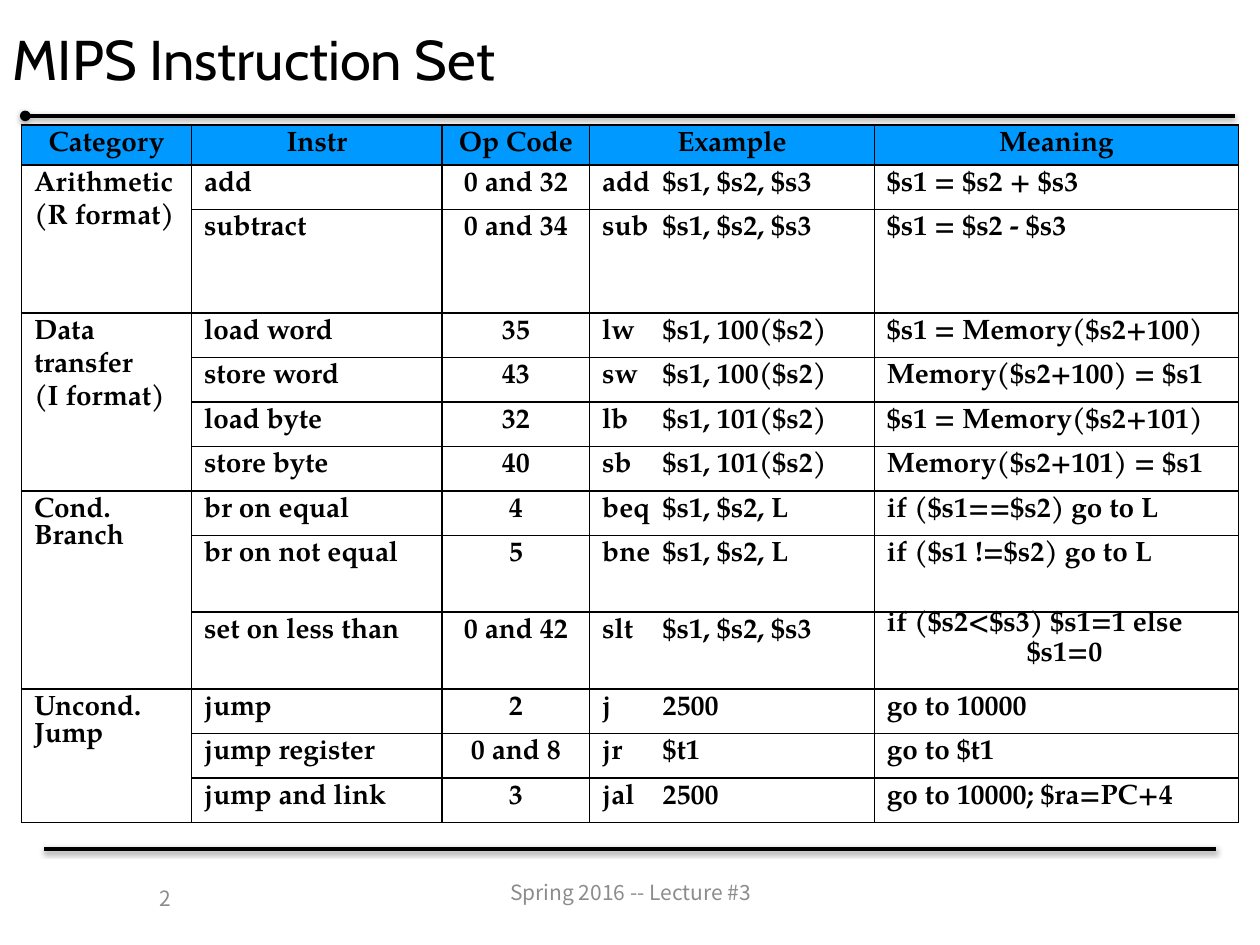
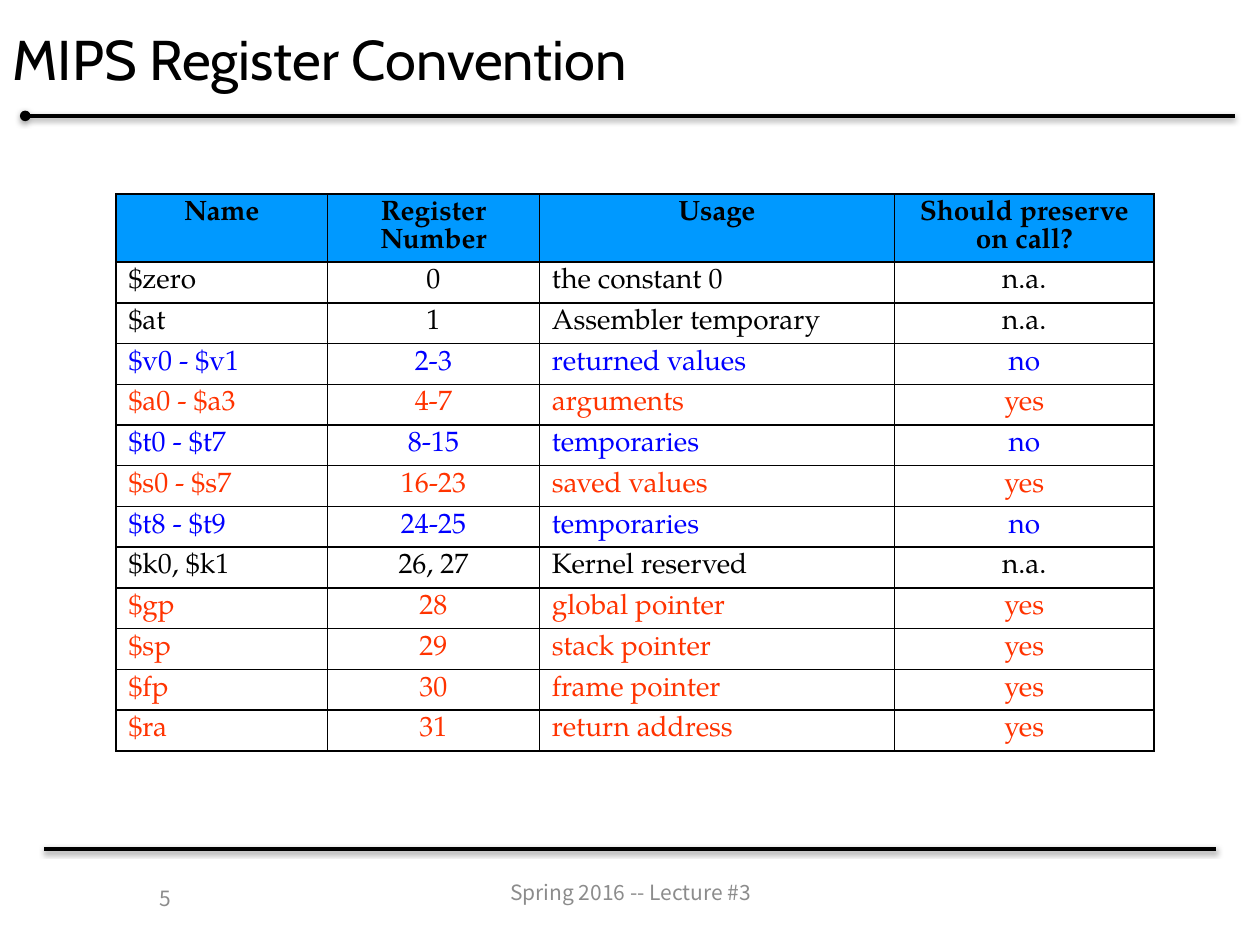
"""Build two lecture slides: the MIPS instruction set and the register convention."""
from dataclasses import dataclass

from lxml.etree import SubElement
from pptx import Presentation
from pptx.dml.color import RGBColor as Rgb
from pptx.enum.shapes import MSO_CONNECTOR as Link
from pptx.enum.text import MSO_ANCHOR as Anchor, MSO_AUTO_SIZE as AutoSize, PP_ALIGN as Align
from pptx.oxml.ns import qn
from pptx.util import Emu, Inches, Pt

SET_TITLE = "MIPS Instruction Set"
SET_HEADER = ("Category", "Instr", "Op Code", "Example", "Meaning")
SLT_MEANING = "if ($s2<$s3) $s1=1 else\n$s1=0"
INSTRUCTION_GROUPS = [
    ("Arithmetic\n(R format)", [
        ("add", "0 and 32", "add\t$s1, $s2, $s3", "$s1 = $s2 + $s3"),
        ("subtract", "0 and 34", "sub\t$s1, $s2, $s3", "$s1 = $s2 - $s3"),
    ]),
    ("Data\ntransfer\n(I format)", [
        ("load word", "35", "lw\t$s1, 100($s2)", "$s1 = Memory($s2+100)"),
        ("store word", "43", "sw\t$s1, 100($s2)", "Memory($s2+100) = $s1"),
        ("load byte", "32", "lb\t$s1, 101($s2)", "$s1 = Memory($s2+101)"),
        ("store byte", "40", "sb\t$s1, 101($s2)", "Memory($s2+101) = $s1"),
    ]),
    ("Cond. Branch", [
        ("br on equal", "4", "beq\t$s1, $s2, L", "if ($s1==$s2) go to L"),
        ("br on not equal", "5", "bne\t$s1, $s2, L", "if ($s1 !=$s2) go to L"),
        ("set on less than", "0 and 42", "slt\t$s1, $s2, $s3", SLT_MEANING),
    ]),
    ("Uncond. Jump", [
        ("jump", "2", "j\t2500", "go to 10000"),
        ("jump register", "0 and 8", "jr\t$t1", "go to $t1"),
        ("jump and link", "3", "jal\t2500", "go to 10000; $ra=PC+4"),
    ]),
]
TALL_INSTRUCTIONS = {"subtract": 0.82, "br on not equal": 0.61, "set on less than": 0.61}

REGISTER_TITLE = "MIPS Register Convention"
REGISTER_HEADER = ("Name", "Register Number", "Usage", "Should preserve on call?")
WRAPPED_HEADERS = {"Register Number", "Should preserve on call?"}
REGISTERS = [
    ("$zero", "0", "the constant 0", "n.a."),
    ("$at", "1", "Assembler temporary", "n.a."),
    ("$v0 - $v1", "2-3", "returned values", "no"),
    ("$a0 - $a3", "4-7", "arguments", "yes"),
    ("$t0 - $t7", "8-15", "temporaries", "no"),
    ("$s0 - $s7", "16-23", "saved values", "yes"),
    ("$t8 - $t9", "24-25", "temporaries", "no"),
    ("$k0, $k1", "26, 27", "Kernel reserved", "n.a."),
    ("$gp", "28", "global pointer", "yes"),
    ("$sp", "29", "stack pointer", "yes"),
    ("$fp", "30", "frame pointer", "yes"),
    ("$ra", "31", "return address", "yes"),
]
FOOTER = "Spring 2016 -- Lecture #3"


@dataclass(frozen=True)
class Theme:
    title_font: str = "Cabin"
    table_font: str = "TeX Gyre Pagella"
    footer_font: str = "Noto Sans CJK KR"
    title_size: int = 32
    table_size: int = 16
    footer_size: int = 12
    ink: str = "000000"
    header_fill: str = "0099FF"
    muted: str = "8C8C8C"
    scratch: str = "0000FF"
    preserved: str = "FF3300"


THEME = Theme()
PRESERVE_COLOURS = {"no": THEME.scratch, "yes": THEME.preserved}
SET_HEADER_ROW, SET_HEIGHT = 0.32, 5.54
REGISTER_HEADER_ROW, REGISTER_HEIGHT = 0.54, 4.42
OPERAND_TAB, ELSE_INDENT = 0.48, 1.11
TITLE_RULE, FOOTER_RULE = 0.92, 6.74


def style(paragraph, family, size, colour, bold=False, align=Align.LEFT):
    paragraph.alignment = align
    font = paragraph.font
    font.name, font.size, font.bold = family, Pt(size), bold
    font.color.rgb = Rgb.from_string(colour)


def add_rule(slide, start, end, y, oval=False):
    rule = slide.shapes.add_connector(
        Link.STRAIGHT, Inches(start), Inches(y), Inches(end), Inches(y))
    rule.line.width = Pt(2)
    rule.line.color.rgb = Rgb.from_string(THEME.ink)
    properties = rule.element.spPr
    if oval:
        SubElement(properties.find(qn("a:ln")), qn("a:headEnd"), type="oval")
    effects = SubElement(properties, qn("a:effectLst"))
    shadow = SubElement(effects, qn("a:outerShdw"), blurRad=str(Pt(3.1)), dist=str(Pt(1)),
                        dir="5400000", rotWithShape="0")
    colour = SubElement(shadow, qn("a:srgbClr"), val=THEME.ink)
    SubElement(colour, qn("a:alpha"), val="38000")


def add_footer_text(slide, text, box, align):
    frame = slide.shapes.add_textbox(*map(Inches, box)).text_frame
    frame.word_wrap = True
    frame.vertical_anchor = Anchor.MIDDLE
    frame.text = text
    style(frame.paragraphs[0], THEME.footer_font, THEME.footer_size, THEME.muted, align=align)


def add_lecture_slide(deck, title, number):
    slide = deck.slides.add_slide(deck.slide_layouts[5])
    add_rule(slide, 0.2, 9.8, TITLE_RULE, oval=True)
    add_rule(slide, 9.65, 0.35, FOOTER_RULE)
    heading = slide.shapes.title
    heading.left, heading.top = Emu(0), Emu(0)
    heading.width, heading.height = deck.slide_width, Inches(TITLE_RULE)
    frame = heading.text_frame
    frame.text = title
    frame.vertical_anchor = Anchor.MIDDLE
    frame.auto_size = AutoSize.NONE
    style(frame.paragraphs[0], THEME.title_font, THEME.title_size, THEME.ink)
    add_footer_text(slide, FOOTER, (2.67, 6.83, 4.67, 0.5), Align.CENTER)
    add_footer_text(slide, str(number), (0.98, 6.93, 0.48, 0.4), Align.RIGHT)
    return slide


def add_borders(cell):
    properties = cell._tc.get_or_add_tcPr()
    for side in ("lnL", "lnR", "lnT", "lnB"):
        edge = SubElement(properties, qn(f"a:{side}"), w=str(Pt(1)))
        fill = SubElement(edge, qn("a:solidFill"))
        SubElement(fill, qn("a:srgbClr"), val=THEME.ink)


def fill_cell(cell, text, colour, bold, align):
    cell.text = text
    if text in WRAPPED_HEADERS:
        cell.margin_top = Emu(0)
        cell.vertical_anchor = Anchor.MIDDLE
    for index, paragraph in enumerate(cell.text_frame.paragraphs):
        properties = paragraph._p.get_or_add_pPr()
        if index:
            paragraph.space_before = Pt(THEME.table_size * 0.2)
        if text == SLT_MEANING:
            paragraph.line_spacing = 0.6
            if index:
                paragraph.space_before = Pt(THEME.table_size * 0.5)
                properties.set("marL", str(Inches(ELSE_INDENT)))
                properties.set("indent", "0")
        if "\t" in text:
            stops = SubElement(properties, qn("a:tabLst"))
            SubElement(stops, qn("a:tab"), pos=str(Inches(OPERAND_TAB)), algn="l")
        style(paragraph, THEME.table_font, THEME.table_size, colour, bold, align)


def add_grid(slide, origin, widths, heights, rows, centred, bold, colour_of):
    table = slide.shapes.add_table(
        len(rows), len(widths), *map(Inches, (*origin, sum(widths), sum(heights)))).table
    table.first_row = table.horz_banding = False
    for column, width in zip(table.columns, widths):
        column.width = Inches(width)
    for r, (row, height) in enumerate(zip(rows, heights)):
        table.rows[r].height = Inches(height)
        is_header = r == 0
        for c, text in enumerate(row):
            cell = table.cell(r, c)
            add_borders(cell)
            cell.margin_bottom = Emu(0)
            if is_header:
                cell.fill.solid()
                cell.fill.fore_color.rgb = Rgb.from_string(THEME.header_fill)
            else:
                cell.fill.background()
            align = Align.CENTER if is_header or c in centred else Align.LEFT
            fill_cell(cell, text, colour_of(row), bold or is_header, align)
    return table


def build_instruction_set(deck):
    slide = add_lecture_slide(deck, SET_TITLE, 2)
    count = sum(len(instructions) for _, instructions in INSTRUCTION_GROUPS)
    plain_space = SET_HEIGHT - SET_HEADER_ROW - sum(TALL_INSTRUCTIONS.values())
    plain_row = plain_space / (count - len(TALL_INSTRUCTIONS))
    rows, heights, spans = [SET_HEADER], [SET_HEADER_ROW], []
    for category, instructions in INSTRUCTION_GROUPS:
        spans.append((len(rows), len(rows) + len(instructions) - 1))
        for index, instruction in enumerate(instructions):
            rows.append(("" if index else category, *instruction))
            heights.append(TALL_INSTRUCTIONS.get(instruction[0], plain_row))
    table = add_grid(slide, (0.17, 0.99), (1.35, 1.99, 1.17, 2.26, 2.89), heights, rows,
                     centred={2}, bold=True, colour_of=lambda row: THEME.ink)
    for first, last in spans:
        table.cell(first, 0).merge(table.cell(last, 0))


def build_register_convention(deck):
    slide = add_lecture_slide(deck, REGISTER_TITLE, 5)
    register_row = (REGISTER_HEIGHT - REGISTER_HEADER_ROW) / len(REGISTERS)
    heights = [REGISTER_HEADER_ROW] + [register_row] * len(REGISTERS)
    add_grid(slide, (0.92, 1.54), (1.68, 1.68, 2.82, 2.06), heights,
             [REGISTER_HEADER, *REGISTERS], centred={1, 3}, bold=False,
             colour_of=lambda row: PRESERVE_COLOURS.get(row[-1], THEME.ink))


def main():
    deck = Presentation()
    deck.slide_width, deck.slide_height = Inches(10), Inches(7.5)
    build_instruction_set(deck)
    build_register_convention(deck)
    deck.save("out.pptx")


if __name__ == "__main__":
    main()
